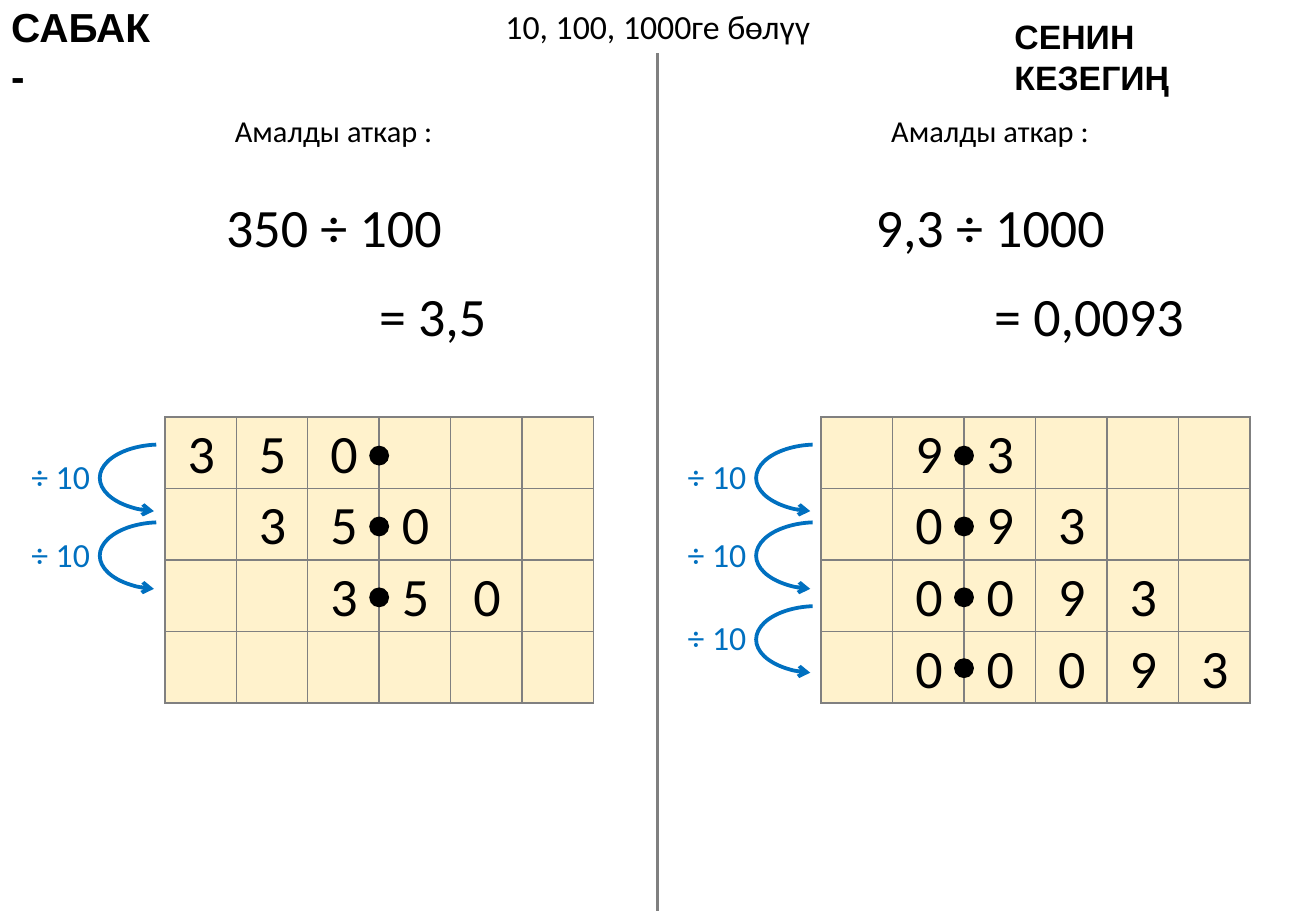
from lxml import etree
from pptx import Presentation
from pptx import util as u
from pptx.dml.color import RGBColor
from pptx.enum import shapes, text
from pptx.oxml.ns import qn

BLACK = RGBColor(0x00, 0x00, 0x00)
GRAY = RGBColor(0x80, 0x80, 0x80)
BLUE = RGBColor(0x00, 0x70, 0xC0)
CREAM = RGBColor(0xFF, 0xF2, 0xCC)

LEFT, CENTER, RIGHT = text.PP_ALIGN.LEFT, text.PP_ALIGN.CENTER, text.PP_ALIGN.RIGHT
COLUMNS, ROWS = 6, 4
CELL = 42.35
GRID_LEFT, GRID_TOP = 97.7, 247.2
DIGIT_WIDTH, DOT = 31, 11.8
HALF = 389
ARC_TOPS = (263.5, 309.6, 359.3)


def points(*lengths):
    return [u.Pt(length) for length in lengths]


def add_text(page, words, left, top, width, height, size,
             align=CENTER, color=BLACK, wrap=False, name="Calibri", bold=False):
    box = page.shapes.add_textbox(*points(left, top, width, height))
    frame = box.text_frame
    frame.word_wrap = wrap
    frame.auto_size = text.MSO_AUTO_SIZE.SHAPE_TO_FIT_TEXT
    para = frame.paragraphs[0]
    para.alignment = align
    span = para.add_run()
    span.text = words
    for key, value in {"size": u.Pt(size), "name": name, "bold": bold}.items():
        setattr(span.font, key, value)
    span.font.color.rgb = color


def add_centered(page, words, middle, top, width, height, size):
    add_text(page, words, middle - width / 2, top, width, height, size)


def add_divider(page):
    line = page.shapes.add_connector(
        shapes.MSO_CONNECTOR.STRAIGHT, *points(HALF + 0.7, 31.7, HALF + 0.7, 540))
    line.line.color.rgb = GRAY
    line.line.width = u.Pt(2.25)
    etree.SubElement(line._element.spPr, qn("a:effectLst"))


def add_border(cell):
    properties = cell._tc.get_or_add_tcPr()
    for side in ("a:lnL", "a:lnR", "a:lnT", "a:lnB"):
        edge = etree.SubElement(properties, qn(side), w=str(u.Pt(1)))
        fill = etree.SubElement(edge, qn("a:solidFill"))
        etree.SubElement(fill, qn("a:srgbClr"), val=str(GRAY))


def add_grid(page, shift):
    grid = page.shapes.add_table(
        ROWS, COLUMNS,
        *points(GRID_LEFT + shift, GRID_TOP, CELL * COLUMNS, CELL * ROWS)).table
    grid.first_row = grid.horz_banding = False
    for column in grid.columns:
        column.width = u.Pt(CELL)
    for row in grid.rows:
        row.height = u.Pt(CELL)
    for cell in grid.iter_cells():
        add_border(cell)
        cell.fill.solid()
        cell.fill.fore_color.rgb = CREAM


def add_digits(page, shift, digits, first, point, row):
    start = min(first + row, point - 1)
    number = "0" * (first + row - start) + digits
    for column, digit in enumerate(number, start):
        middle = GRID_LEFT + shift + CELL * (column + 0.5) + 0.4
        add_centered(page, digit, middle, 244.9 + 42.5 * row, DIGIT_WIDTH, 46, 32)


def add_dot(page, shift, point, row):
    left = GRID_LEFT + shift + CELL * point - DOT / 2
    dot = page.shapes.add_shape(
        shapes.MSO_SHAPE.OVAL, *points(left, 264.2 + 42 * row, DOT, DOT))
    dot.shadow.inherit = False
    dot.fill.solid()
    dot.fill.fore_color.rgb = BLACK
    dot.line.fill.background()


def add_step(page, shift, top):
    arc = page.shapes.add_shape(
        shapes.MSO_SHAPE.ARC, *points(59.2 + shift, top, 72, 39.6))
    arc.adjustments[0] = 60.745
    arc.adjustments[1] = 157.619
    arc.shadow.inherit = False
    arc.fill.background()
    arc.line.color.rgb = BLUE
    arc.line.width = u.Pt(2.25)
    etree.SubElement(arc.line._get_or_add_ln(), qn("a:headEnd"), type="arrow")
    add_text(page, "÷ 10", 10.8 + shift, top + 3, 49.7, 31.7, 20, RIGHT, BLUE)


def add_exercise(page, shift, problem, answer, digits, first, point, steps):
    add_centered(page, "Амалды аткар :", 197.8 + shift, 63.2, 134, 29, 18)
    add_centered(page, problem, 198 + shift, 110.9, 160, 46, 32)
    add_centered(page, answer, 256.5 + shift, 164.2, 136, 46, 32)
    add_grid(page, shift)
    for row in range(steps + 1):
        add_digits(page, shift, digits, first, point, row)
        add_dot(page, shift, point, row)
    for top in ARC_TOPS[:steps]:
        add_step(page, shift, top)


def main():
    deck = Presentation()
    deck.slide_width, deck.slide_height = points(780, 540)
    page = deck.slides.add_slide(deck.slide_layouts[6])
    heading = {"align": LEFT, "wrap": True, "name": "Arial", "bold": True}
    add_centered(page, "10, 100, 1000ге бөлүү", 390, 0, 200, 31.7, 20)
    add_divider(page)
    add_text(page, "САБАК -", -0.5, -2.2, 103.7, 36, 24, **heading)
    add_text(page, "СЕНИН КЕЗЕГИҢ", 594.2, 5.8, 175, 31.7, 20, **heading)
    add_exercise(page, 0, "350 ÷ 100", "= 3,5", "350", 0, 3, 2)
    add_exercise(page, HALF, "9,3 ÷ 1000", "= 0,0093", "93", 1, 2, 3)
    deck.save("out.pptx")


if __name__ == "__main__":
    main()
